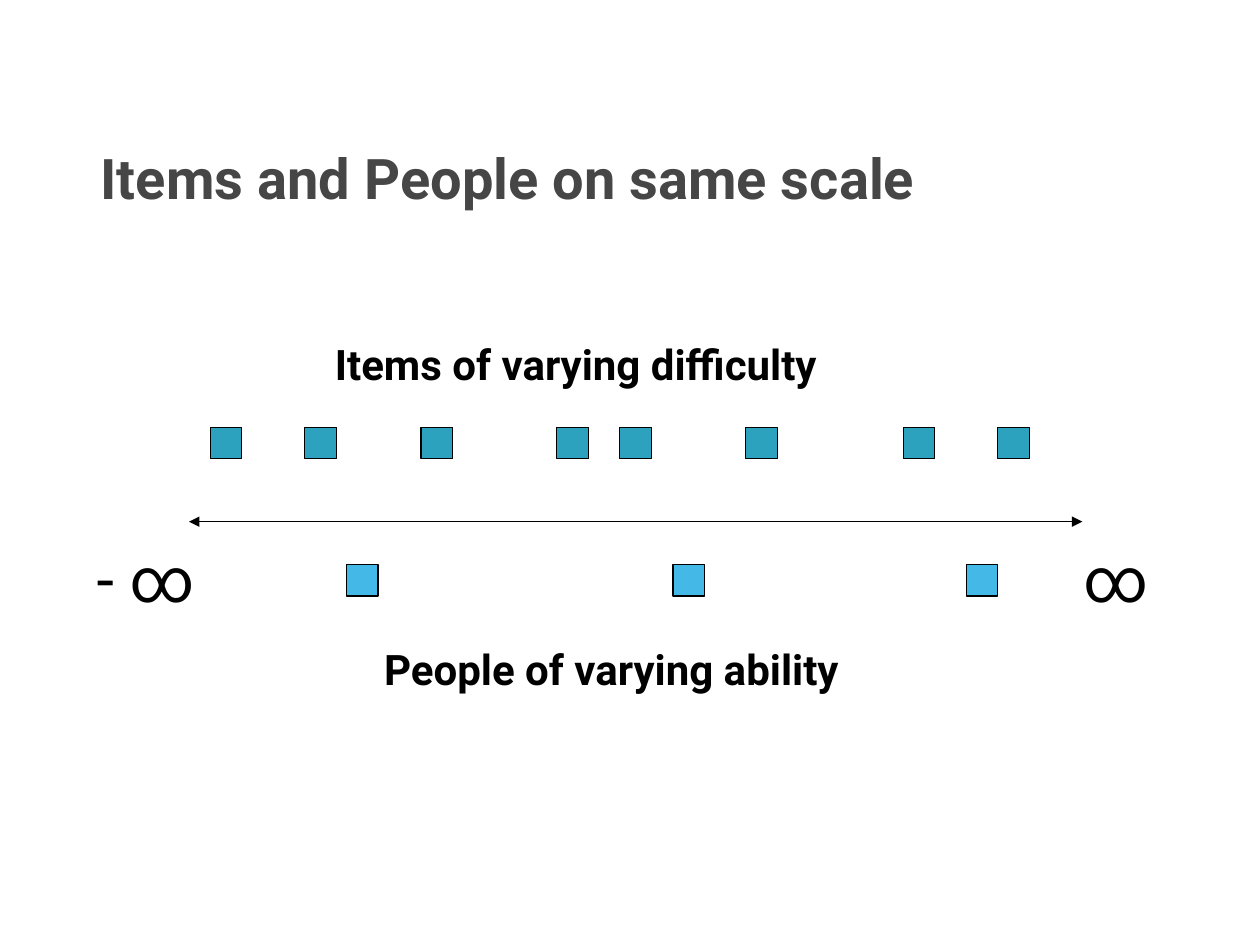
"""Build a slide that places test items and people on one common scale."""
from dataclasses import dataclass

from lxml import etree
from pptx import Presentation
from pptx.dml.color import RGBColor
from pptx.enum import shapes, text
from pptx.oxml import ns
from pptx.util import Pt


@dataclass(frozen=True)
class Theme:
    font: str = "Roboto"
    title_color: str = "464646"
    ink: str = "000000"
    item_fill: str = "2DA2BF"
    person_fill: str = "44B9E8"
    title_size: int = 32
    label_size: int = 24
    symbol_size: int = 36
    line_width: float = 0.75


THEME = Theme()
SLIDE_SIZE = (720, 540)
MARKER_SIZE = 18
SCALE = {"left": 108, "right": 618.5, "y": 298.1}
MARKER_ROWS = [
    {"top": 244.1, "fill": THEME.item_fill,
     "lefts": [120.2, 174.2, 240.5, 318.2, 354.2, 426.2, 516.2, 570.2]},
    {"top": 322.6, "fill": THEME.person_fill, "lefts": [198, 384.5, 552.2]},
]
TITLE_STYLE = {"size": THEME.title_size, "color": THEME.title_color, "bold": True}
LABEL_STYLE = {"size": THEME.label_size, "bold": True}
SYMBOL_STYLE = {"size": THEME.symbol_size}
TEXTS = [
    ("Items and People on same scale", (50.4, 78.5, 615.6, 46), TITLE_STYLE),
    ("Items of varying difficulty", (184.3, 190.1, 335.5, 36), LABEL_STYLE),
    ("People of varying ability", (212.4, 364.3, 311.8, 36), LABEL_STYLE),
    ("- ∞", (48.2, 304.6, 102.2, 50.4), SYMBOL_STYLE),
    ("∞", (612, 304.6, 59.8, 50.4), SYMBOL_STYLE),
]


def rgb(color):
    return RGBColor.from_string(color)


def style_line(line):
    line.color.rgb = rgb(THEME.ink)
    line.width = Pt(THEME.line_width)


def add_text(slide, content, box, *, size, color=THEME.ink, bold=False):
    frame = slide.shapes.add_textbox(*map(Pt, box)).text_frame
    frame.word_wrap = True
    frame.auto_size = text.MSO_AUTO_SIZE.SHAPE_TO_FIT_TEXT
    paragraph = frame.paragraphs[0]
    run = paragraph.add_run()
    run.text = content
    run.font.name = THEME.font
    run.font.size = Pt(size)
    run.font.bold = bold
    run.font.color.rgb = rgb(color)


def add_marker(slide, left, top, fill):
    shape = slide.shapes.add_shape(
        shapes.MSO_SHAPE.RECTANGLE, Pt(left), Pt(top), Pt(MARKER_SIZE), Pt(MARKER_SIZE))
    shape.shadow.inherit = False
    shape.fill.solid()
    shape.fill.fore_color.rgb = rgb(fill)
    style_line(shape.line)


def add_scale(slide, left, right, y):
    connector = slide.shapes.add_connector(
        shapes.MSO_CONNECTOR.STRAIGHT, Pt(left), Pt(y), Pt(right), Pt(y))
    style_line(connector.line)
    properties = connector.element.spPr
    line = properties.find(ns.qn("a:ln"))
    for end in ("a:headEnd", "a:tailEnd"):
        etree.SubElement(line, ns.qn(end), type="triangle")
    etree.SubElement(properties, ns.qn("a:effectLst"))


def main():
    presentation = Presentation()
    presentation.slide_width, presentation.slide_height = map(Pt, SLIDE_SIZE)
    slide = presentation.slides.add_slide(presentation.slide_layouts[6])
    add_scale(slide, **SCALE)
    for row in MARKER_ROWS:
        for left in row["lefts"]:
            add_marker(slide, left, row["top"], row["fill"])
    for content, box, style in TEXTS:
        add_text(slide, content, box, **style)
    presentation.save("out.pptx")


if __name__ == "__main__":
    main()
